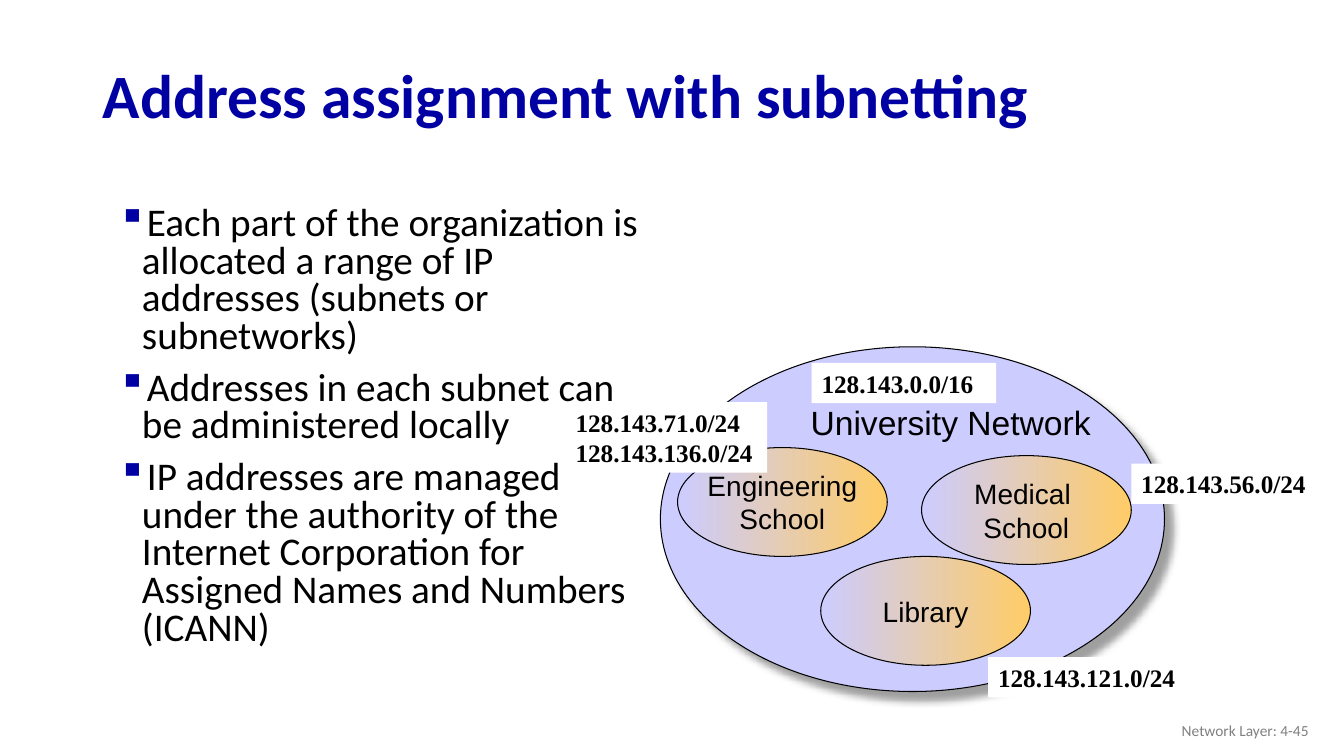
from dataclasses import dataclass

from lxml import etree
from pptx import Presentation
from pptx import util as u
from pptx.dml.color import RGBColor
from pptx.enum import shapes, text
from pptx.oxml import ns, parse_xml

INK = {"navy": "0000A3", "black": "000000", "grey": "808080",
       "lilac": "CCCCFF", "gold": "FFCC66", "white": "FFFFFF"}
LEFT, MID, RIGHT = text.PP_ALIGN.LEFT, text.PP_ALIGN.CENTER, text.PP_ALIGN.RIGHT
TOP, CENTER = text.MSO_ANCHOR.TOP, text.MSO_ANCHOR.MIDDLE
OVAL, RECT = shapes.MSO_SHAPE.OVAL, shapes.MSO_SHAPE.RECTANGLE


@dataclass
class School:
    name: str
    left: float
    top: float


@dataclass
class Label:
    text: str
    left: float
    top: float
    width: float
    height: float = 0.4


POINTS = [
    "Each part of the organization is allocated a range of IP addresses (subnets or subnetworks)",
    "Addresses in each subnet can be administered locally",
    "IP addresses are managed under the authority of the Internet Corporation for "
    "Assigned Names and Numbers (ICANN)",
]
SCHOOLS = [
    School("Medical \nSchool", 9.14, 4.52),
    School("Library", 8.14, 5.52),
    School("Engineering\nSchool", 6.72, 4.44),
]
LABELS = [
    Label("128.143.0.0/16", 8.05, 3.6, 1.83),
    Label("128.143.71.0/24\v128.143.136.0/24", 5.61, 3.99, 2, 0.7),
    Label("128.143.56.0/24", 11.22, 4.6, 2.11),
    Label("128.143.121.0/24", 9.8, 6.52, 2.25),
]


def rgb(name: str) -> RGBColor:
    return RGBColor.from_string(INK[name])


def place(shape, left: float, top: float, width: float, height: float) -> None:
    shape.left, shape.top = u.Inches(left), u.Inches(top)
    shape.width, shape.height = u.Inches(width), u.Inches(height)


def bullet(para) -> None:
    props = para._p.get_or_add_pPr()
    props.set("marL", str(u.Inches(0.39)))
    props.set("indent", str(u.Inches(-0.24)))
    color = etree.SubElement(props, ns.qn("a:buClr"))
    etree.SubElement(color, ns.qn("a:srgbClr")).set("val", INK["navy"])
    etree.SubElement(props, ns.qn("a:buChar")).set("char", "▪")


def write(shape, words: str, *, size: float, face: str, color: str = "black",
          bold: bool = False, align=LEFT, anchor=TOP, wrap: bool = True,
          line: float = 1.0, gap: float = 0, dots: bool = False) -> None:
    """Fill a shape with one paragraph per line of words."""
    frame = shape.text_frame
    frame.text = words
    frame.auto_size = text.MSO_AUTO_SIZE.NONE
    frame.word_wrap, frame.vertical_anchor = wrap, anchor
    for i, para in enumerate(frame.paragraphs):
        if dots:
            bullet(para)
        para.alignment, para.line_spacing = align, line
        if i and gap:
            para.space_before = u.Pt(gap)
        for run in para.runs:
            font = run.font
            font.name, font.size, font.bold = face, u.Pt(size), bold
            font.color.rgb = rgb(color)


def draw(slide, kind, box: tuple, fill: str, end: str = "", edge: bool = True):
    """Add a shape; a second colour gives a gradient from left to right."""
    shape = slide.shapes.add_shape(kind, *map(u.Inches, box))
    shape.shadow.inherit = False
    if end:
        shape.fill.gradient()
        shape.fill.gradient_angle = 0
        for stop, name in zip(shape.fill.gradient_stops, (fill, end)):
            stop.color.rgb = rgb(name)
    else:
        shape.fill.solid()
        shape.fill.fore_color.rgb = rgb(fill)
    if edge:
        shape.line.color.rgb = rgb("black")
        shape.line.width = u.Pt(0.75)
    else:
        shape.line.fill.background()
    return shape


def shade(shape) -> None:
    """Give a shape a soft shadow to the lower right."""
    shape._element.spPr.find(ns.qn("a:effectLst")).append(parse_xml(
        f'<a:outerShdw {ns.nsdecls("a")} blurRad="{u.Pt(5)}" dist="{u.Pt(8.5)}" '
        f'dir="2700000" algn="ctr" rotWithShape="0"><a:srgbClr val="{INK["grey"]}">'
        '<a:alpha val="75000"/></a:srgbClr></a:outerShdw>'))


def main() -> None:
    deck = Presentation()
    deck.slide_width, deck.slide_height = u.Inches(13.33), u.Inches(7.5)
    slide = deck.slides.add_slide(deck.slide_layouts[5])

    title = slide.shapes.title
    place(title, 0.92, 0.49, 11.5, 0.98)
    write(title, "Address assignment with subnetting", size=44, face="Calibri",
          color="navy", bold=True, anchor=CENTER, line=0.9)

    body = slide.shapes.add_textbox(*map(u.Inches, (0.92, 2, 5.67, 4.76)))
    write(body, "\n".join(POINTS), size=28, face="Calibri", line=0.8, gap=10, dots=True)

    foot = slide.shapes.add_textbox(*map(u.Inches, (10.08, 7.05, 3, 0.4)))
    write(foot, "Network Layer: 4-45", size=11, face="Calibri", color="grey",
          align=RIGHT, anchor=CENTER)

    campus = draw(slide, OVAL, (6.55, 3.44, 5, 3.42), "lilac")
    shade(campus)
    write(campus, "University Network", size=24, face="Arial", align=RIGHT, wrap=False)
    campus.text_frame.margin_right = 0

    for school in SCHOOLS:
        oval = draw(slide, OVAL, (school.left, school.top, 2.08, 1.08), "lilac", "gold")
        write(oval, school.name, size=20, face="Arial", align=MID, anchor=CENTER, wrap=False)

    for label in LABELS:
        box = (label.left, label.top, label.width, label.height)
        tag = draw(slide, RECT, box, "white", edge=False)
        write(tag, label.text, size=18, face="Times New Roman", bold=True)

    deck.save("out.pptx")


if __name__ == "__main__":
    main()
